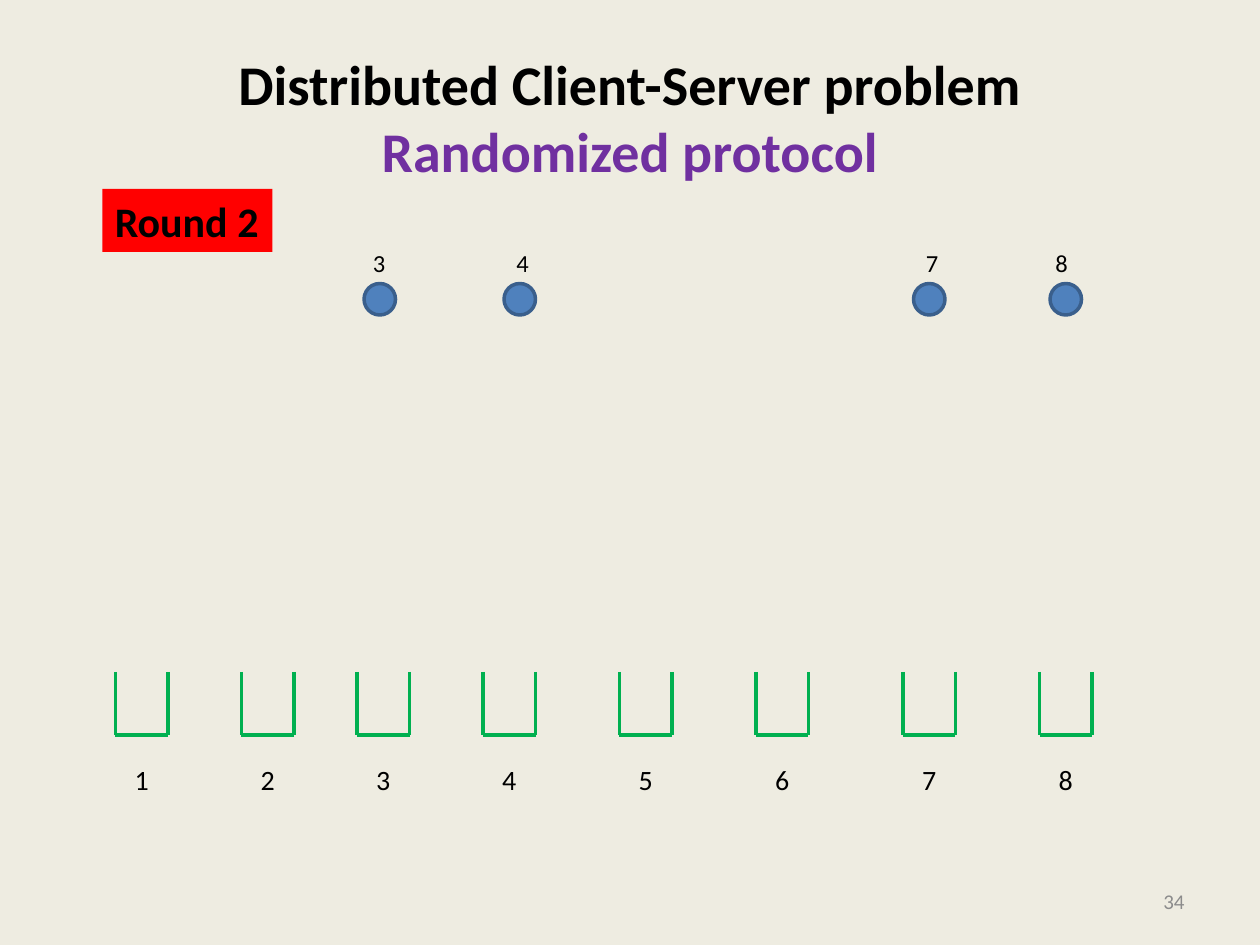
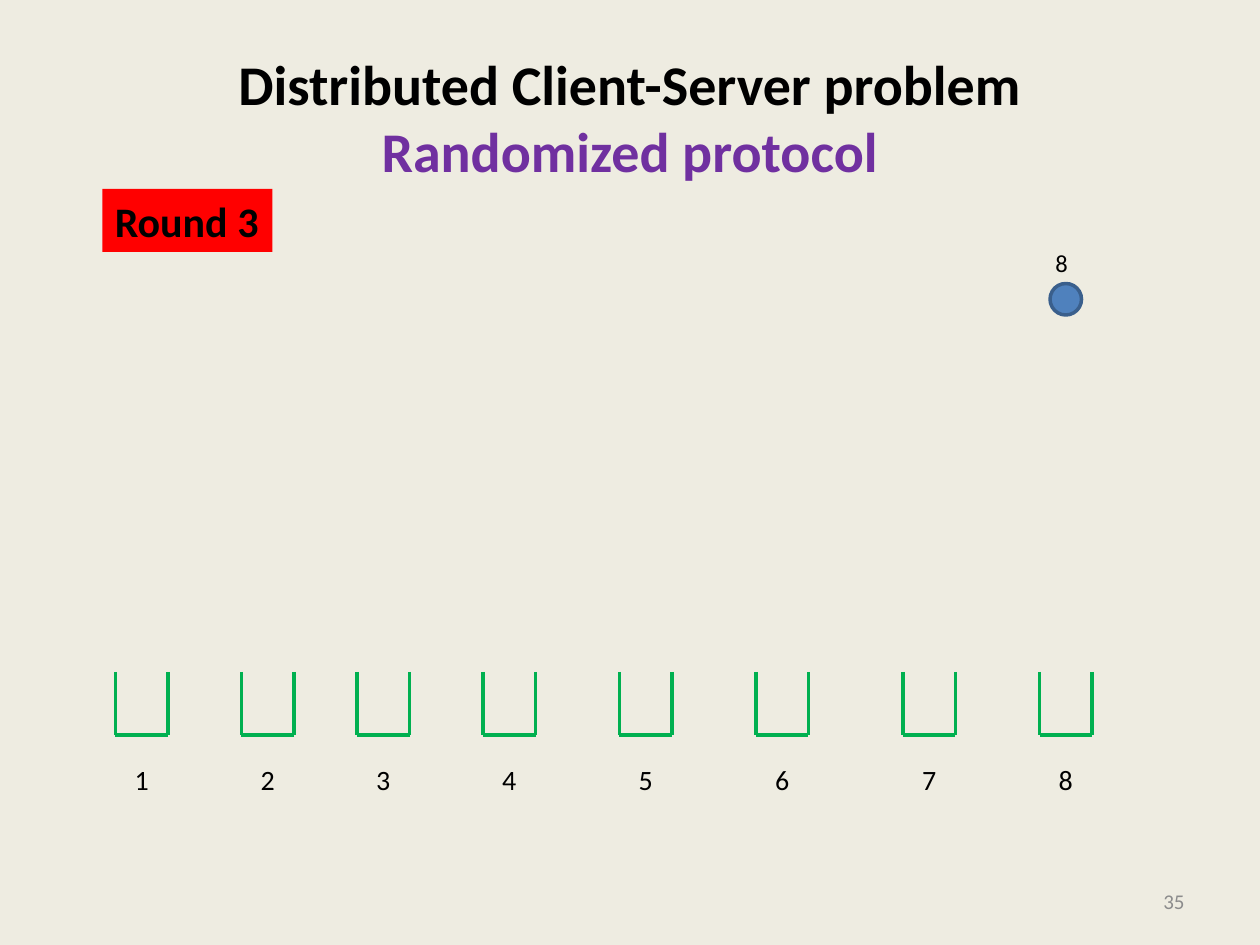
import dataclasses

import lxml.etree
import pptx
import pptx.dml.color
import pptx.enum.shapes
import pptx.enum.text
import pptx.oxml.ns
import pptx.util

Pt = pptx.util.Pt
Align = pptx.enum.text.PP_ALIGN
Anchor = pptx.enum.text.MSO_ANCHOR
AutoSize = pptx.enum.text.MSO_AUTO_SIZE


@dataclasses.dataclass(frozen=True)
class Theme:
    font: str = "Calibri"
    background: str = "EEECE1"
    text: str = "000000"
    subtitle: str = "7030A0"
    page_number: str = "8C8C8C"
    round_fill: str = "FF0000"
    client_fill: str = "4F81BD"
    client_line: str = "3A5F8C"
    server_line: str = "00B050"
    title_size: float = 32
    round_size: float = 24
    server_size: float = 16
    client_size: float = 14
    page_size: float = 12
    client_line_width: float = 2
    server_line_width: float = 2.25


@dataclasses.dataclass(frozen=True)
class Box:
    """A region of the slide, in points."""
    left: float
    top: float
    width: float
    height: float

    def inner(self, left, top, width, height):
        """Return a box given relative to this one."""
        return Box(self.left + left, self.top + top, width, height)

    def lengths(self):
        return [Pt(value) for value in dataclasses.astuple(self)]


THEME = Theme()
SLIDE = Box(0, 0, 720, 540)
TITLE = SLIDE.inner(36, 21.6, 648, 90)
ROUND_SIGN = SLIDE.inner(58.5, 108, 97.2, 36)
CLIENT_ROW = SLIDE.inner(66, 138, 558, 42)
SERVER_ROW = SLIDE.inner(66, 384, 558, 75)
PAGE_NUMBER = SLIDE.inner(516, 500.5, 168, 28.75)

CLIENT_DIAMETER = 18
# Client number: left edge of its circle and of its label within the row
CLIENT_LEFTS = {3: (142, 140), 4: (222, 222), 7: (456, 456), 8: (534, 530)}

SERVER_WIDTH = 30
SERVER_HEIGHT = 36
SERVER_LEFTS = [0, 72, 138, 210, 288, 366, 450, 528]

# Slide number, round number, clients still waiting
ROUNDS = [(34, 2, [3, 4, 7, 8]), (35, 3, [8])]


def rgb(value):
    return pptx.dml.color.RGBColor.from_string(value)


def add_text(paragraph, text, size, color=THEME.text, bold=False, align=Align.LEFT):
    paragraph.alignment = align
    run = paragraph.add_run()
    run.text = text
    run.font.name = THEME.font
    run.font.size = Pt(size)
    run.font.bold = bold
    run.font.color.rgb = rgb(color)


def add_label(shapes, box, text, anchor=Anchor.TOP, wrap=False, **text_format):
    label = shapes.add_textbox(*box.lengths())
    frame = label.text_frame
    frame.word_wrap = wrap
    frame.auto_size = AutoSize.NONE if wrap else AutoSize.SHAPE_TO_FIT_TEXT
    frame.vertical_anchor = anchor
    add_text(frame.paragraphs[0], text, **text_format)
    return label


def add_line(shapes, start, end):
    line = shapes.add_connector(
        pptx.enum.shapes.MSO_CONNECTOR.STRAIGHT,
        *[Pt(value) for value in (*start, *end)])
    line.line.color.rgb = rgb(THEME.server_line)
    line.line.width = Pt(THEME.server_line_width)
    lxml.etree.SubElement(line.element.spPr, pptx.oxml.ns.qn("a:effectLst"))


def fill_title(slide, box):
    title = slide.shapes.title
    title.left, title.top, title.width, title.height = box.lengths()
    frame = title.text_frame
    frame.auto_size = AutoSize.NONE
    frame.vertical_anchor = Anchor.MIDDLE
    paragraph = frame.paragraphs[0]
    title_format = dict(size=THEME.title_size, bold=True, align=Align.CENTER)
    add_text(paragraph, "Distributed Client-Server problem", **title_format)
    paragraph.add_line_break()
    add_text(paragraph, "Randomized protocol", color=THEME.subtitle, **title_format)


def draw_clients(slide, box, clients):
    for client in clients:
        circle_left, label_left = CLIENT_LEFTS[client]
        shapes = slide.shapes.add_group_shape().shapes
        circle_box = box.inner(circle_left, box.height - CLIENT_DIAMETER,
                               CLIENT_DIAMETER, CLIENT_DIAMETER)
        circle = shapes.add_shape(
            pptx.enum.shapes.MSO_SHAPE.OVAL, *circle_box.lengths())
        circle.shadow.inherit = False
        circle.fill.solid()
        circle.fill.fore_color.rgb = rgb(THEME.client_fill)
        circle.line.color.rgb = rgb(THEME.client_line)
        circle.line.width = Pt(THEME.client_line_width)
        add_label(shapes, box.inner(label_left, 0, 21.6, 24.25), str(client),
                  size=THEME.client_size)


def draw_servers(slide, box):
    """Draw the open bins with their numbers centred below."""
    shapes = slide.shapes.add_group_shape().shapes
    for number, offset in enumerate(SERVER_LEFTS, start=1):
        left = box.left + offset
        right = left + SERVER_WIDTH
        bottom = box.top + SERVER_HEIGHT
        add_line(shapes, (left, box.top), (left, bottom))
        add_line(shapes, (right, box.top), (right, bottom))
        add_line(shapes, (left, bottom), (right, bottom))
        add_label(shapes, box.inner(offset, 48, SERVER_WIDTH, 26.75), str(number),
                  size=THEME.server_size, align=Align.CENTER)


def draw_round_sign(slide, box, round_number):
    sign = add_label(slide.shapes, box, f"Round {round_number}",
                     size=THEME.round_size, bold=True)
    sign.fill.solid()
    sign.fill.fore_color.rgb = rgb(THEME.round_fill)


def build_round_slide(presentation, page, round_number, clients):
    slide = presentation.slides.add_slide(
        presentation.slide_layouts.get_by_name("Title Only"))
    fill_title(slide, TITLE)
    add_label(slide.shapes, PAGE_NUMBER, str(page), anchor=Anchor.MIDDLE, wrap=True,
              size=THEME.page_size, color=THEME.page_number, align=Align.RIGHT)
    draw_clients(slide, CLIENT_ROW, clients)
    draw_servers(slide, SERVER_ROW)
    draw_round_sign(slide, ROUND_SIGN, round_number)


def main():
    presentation = pptx.Presentation()
    presentation.slide_width = Pt(SLIDE.width)
    presentation.slide_height = Pt(SLIDE.height)
    background = presentation.slide_master.background.fill
    background.solid()
    background.fore_color.rgb = rgb(THEME.background)
    for page, round_number, clients in ROUNDS:
        build_round_slide(presentation, page, round_number, clients)
    presentation.save("out.pptx")


if __name__ == "__main__":
    main()
